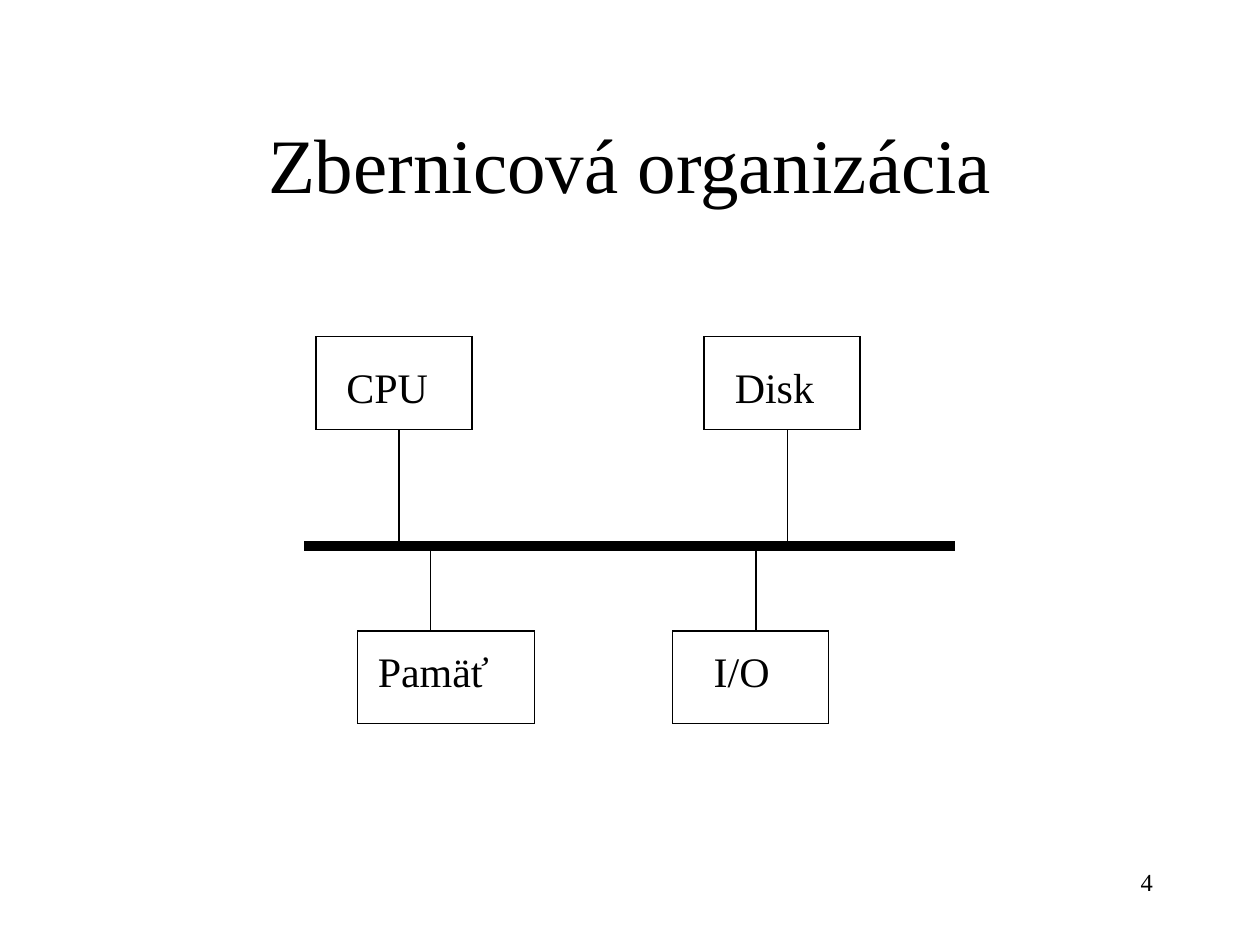
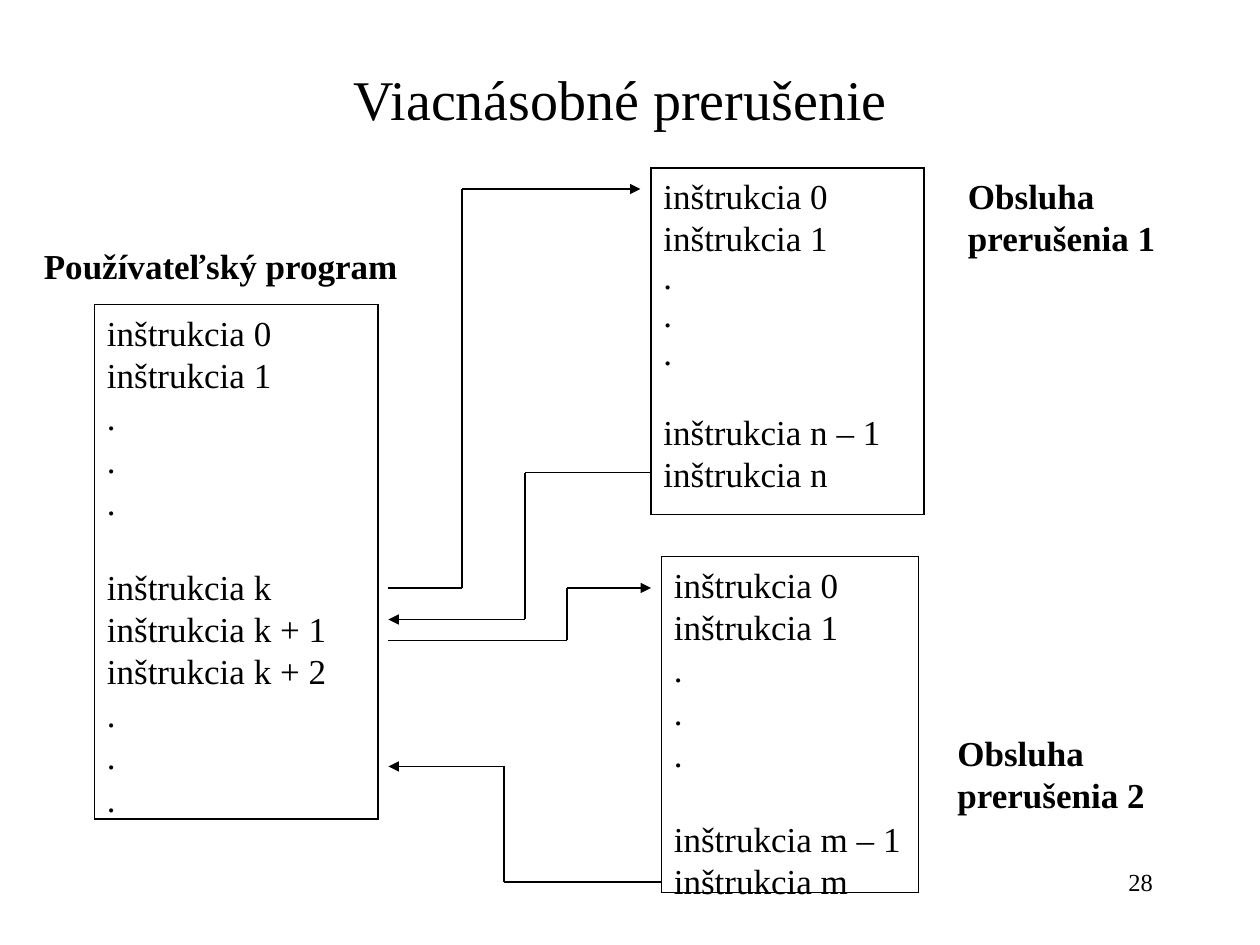
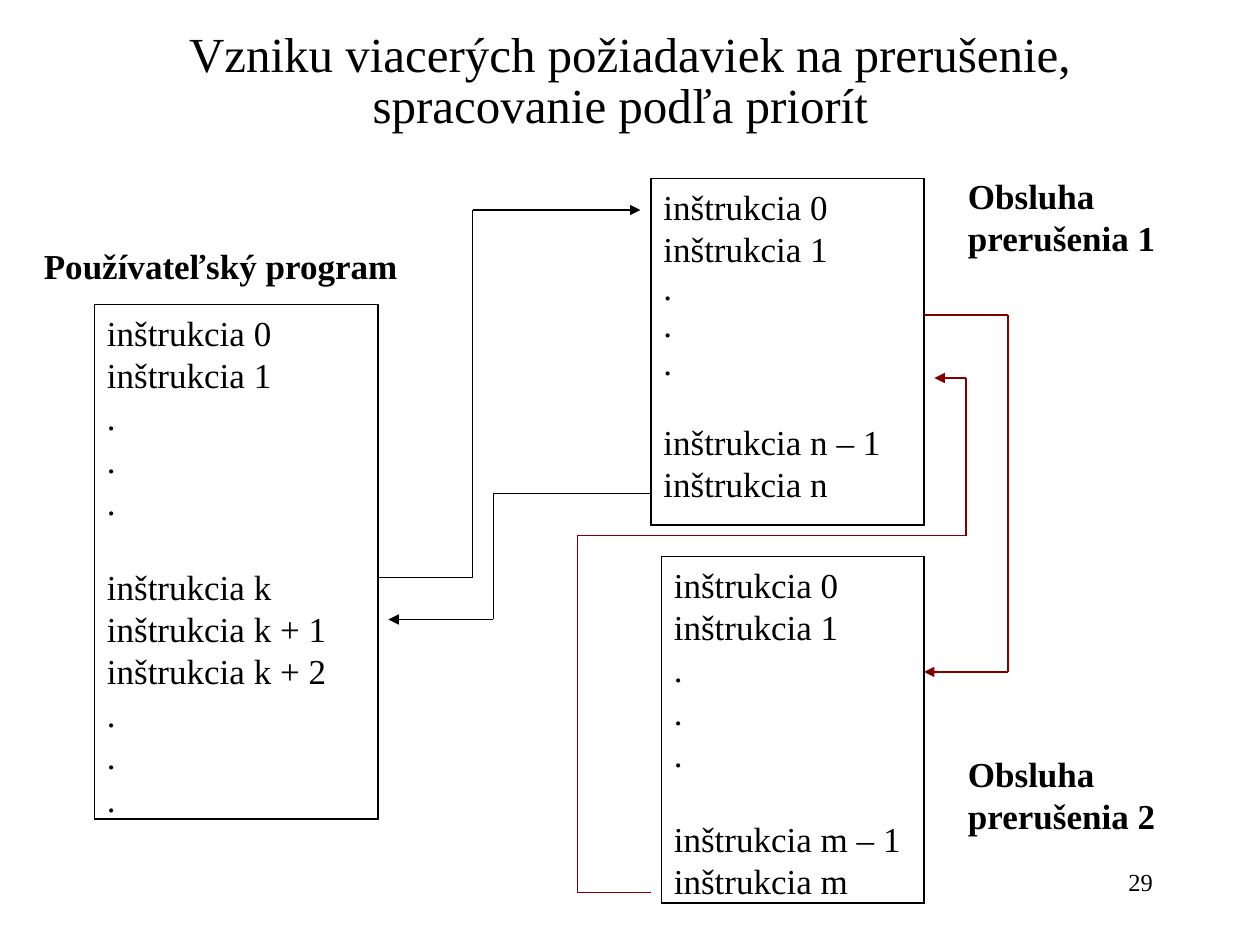
from dataclasses import dataclass
from itertools import pairwise

import pptx
import pptx.dml.color
import pptx.enum.shapes
import pptx.enum.text
import pptx.oxml
import pptx.util
from lxml import etree

Align = pptx.enum.text.PP_ALIGN
Fit = pptx.enum.text.MSO_AUTO_SIZE
Point = tuple[float, float]


@dataclass(frozen=True)
class Theme:
    font: str = "Times New Roman"
    ink: str = "000000"
    paper: str = "FFFFFF"
    priority: str = "800000"
    title: float = 44
    device: float = 24
    body: float = 20
    number: float = 14
    leading: float = 1.21
    tight: float = 0.89
    thin: float = 0.75
    medium: float = 1
    bus: float = 6


THEME = Theme()
WIDTH, HEIGHT = pptx.util.Inches(10), pptx.util.Inches(7.5)
COLUMNS, ROWS = 120, 90


@dataclass(frozen=True)
class Area:
    column: float
    row: float
    columns: float
    rows: float

    def lengths(self) -> tuple[int, int, int, int]:
        return (across(self.column), down(self.row), across(self.columns), down(self.rows))


@dataclass(frozen=True)
class Span:
    text: str
    size: float
    bold: bool = False


@dataclass(frozen=True)
class Heading:
    area: Area
    spans: tuple[Span, ...]
    spacing: float = 1


@dataclass(frozen=True)
class Device:
    name: str
    frame: Area
    label: Area
    stem: tuple[Point, Point]


@dataclass(frozen=True)
class Listing:
    area: Area
    blocks: tuple[tuple[str, ...], ...]
    dot_spacing: float = 1


@dataclass(frozen=True)
class Route:
    points: tuple[Point, ...]
    color: str = THEME.ink


@dataclass(frozen=True)
class Label:
    area: Area
    spans: tuple[Span, ...]


@dataclass(frozen=True)
class InterruptPage:
    number: str
    heading: Heading
    listings: tuple[Listing, ...]
    routes: tuple[Route, ...]
    labels: tuple[Label, ...]


def across(columns: float) -> int:
    return round(WIDTH * columns / COLUMNS)


def down(rows: float) -> int:
    return round(HEIGHT * rows / ROWS)


def rgb(color: str) -> pptx.dml.color.RGBColor:
    return pptx.dml.color.RGBColor.from_string(color)


def write(para, spans: tuple[Span, ...], align=Align.LEFT, spacing: float = 1) -> None:
    para.alignment = align
    para.line_spacing = pptx.util.Pt(max(span.size for span in spans) * THEME.leading * spacing)
    for span in spans:
        run = para.add_run()
        run.text = span.text
        run.font.name = THEME.font
        run.font.size = pptx.util.Pt(span.size)
        run.font.bold = span.bold
        run.font.color.rgb = rgb(THEME.ink)


def add_text(page, area: Area, spans: tuple[Span, ...], align=Align.LEFT,
             wrap: bool = True, fit=Fit.NONE) -> None:
    frame = page.shapes.add_textbox(*area.lengths()).text_frame
    frame.word_wrap = wrap
    frame.auto_size = fit
    write(frame.paragraphs[0], spans, align)


def draw_outline(shape, weight: float, color: str = THEME.ink, arrow: bool = False) -> None:
    shape.line.color.rgb = rgb(color)
    shape.line.width = pptx.util.Pt(weight)
    outline = shape.line._get_or_add_ln()
    etree.SubElement(outline, pptx.oxml.ns.qn("a:miter"), lim="800000")
    if arrow:
        etree.SubElement(outline, pptx.oxml.ns.qn("a:tailEnd"), type="triangle")


def add_box(page, area: Area, weight: float, fill: str | None = None):
    box = page.shapes.add_shape(pptx.enum.shapes.MSO_SHAPE.RECTANGLE, *area.lengths())
    box.shadow.inherit = False
    if fill:
        box.fill.solid()
        box.fill.fore_color.rgb = rgb(fill)
    else:
        box.fill.background()
    draw_outline(box, weight)
    return box


def add_line(page, start: Point, end: Point, weight: float,
             color: str = THEME.ink, arrow: bool = False) -> None:
    line = page.shapes.add_connector(
        pptx.enum.shapes.MSO_CONNECTOR.STRAIGHT,
        across(start[0]), down(start[1]), across(end[0]), down(end[1]))
    draw_outline(line, weight, color, arrow)
    etree.SubElement(line._element.spPr, pptx.oxml.ns.qn("a:effectLst"))


def add_route(page, route: Route) -> None:
    legs = list(pairwise(route.points))
    for index, (start, end) in enumerate(legs, 1):
        add_line(page, start, end, THEME.thin, route.color, arrow=index == len(legs))


def add_listing(page, listing: Listing) -> None:
    frame = add_box(page, listing.area, THEME.thin, THEME.paper).text_frame
    frame.word_wrap = True
    frame.vertical_anchor = pptx.enum.text.MSO_ANCHOR.TOP
    para = frame.paragraphs[0]
    for block_index, block in enumerate(listing.blocks):
        for line_index, text in enumerate(block):
            if block_index or line_index:
                para = frame.add_paragraph()
            if block_index and not line_index:
                para.space_before = pptx.util.Pt(THEME.body * THEME.leading * listing.dot_spacing)
            spacing = listing.dot_spacing if text == "." else 1
            write(para, (Span(text, THEME.body),), spacing=spacing)


def add_device(page, device: Device) -> None:
    add_box(page, device.frame, THEME.medium)
    add_line(page, *device.stem, THEME.medium)
    add_text(page, device.label, (Span(device.name, THEME.device),),
             wrap=False, fit=Fit.SHAPE_TO_FIT_TEXT)


def add_page(deck, heading: Heading, number: str):
    page = deck.slides.add_slide(deck.slide_layouts.get_by_name("Title Only"))
    title = page.shapes.title
    title.left, title.top, title.width, title.height = heading.area.lengths()
    frame = title.text_frame
    frame.word_wrap = True
    frame.auto_size = Fit.NONE
    frame.vertical_anchor = pptx.enum.text.MSO_ANCHOR.MIDDLE
    para = frame.paragraphs[0]
    write(para, heading.spans, Align.CENTER)
    para.line_spacing = heading.spacing
    add_text(page, Area(86, 82, 25, 6), (Span(number, THEME.number),), Align.RIGHT)
    return page


START = ("inštrukcia 0", "inštrukcia 1", ".", ".", ".")
PROGRAM = Listing(
    Area(9, 29, 27, 49),
    (START, ("inštrukcia k", "inštrukcia k + 1", "inštrukcia k + 2", ".", ".", ".")))
TITLE_TAIL = Span(" ", THEME.title)
PROGRAM_LABEL = Label(
    Area(3, 22, 37, 6),
    (Span("Používateľský program", THEME.body, True),))


def first_handler(row: float) -> Listing:
    return Listing(Area(62, row, 26, 33),
                   (START, ("inštrukcia n – 1", "inštrukcia n")), THEME.tight)


def second_handler(columns: float, rows: float) -> Listing:
    return Listing(Area(63, 53, columns, rows), (START, ("inštrukcia m – 1", "inštrukcia m")))


def handler_label(number: int, column: float, row: float) -> Label:
    return Label(Area(column, row, 27, 9.25),
                 (Span(f"Obsluha prerušenia {number}", THEME.body, True),))


BUS_HEADING = Heading(Area(9, 8, 102, 15), (Span("Zbernicová organizácia", THEME.title),))
BUS_ROW = 52
DEVICES = (
    Device("CPU", Area(30.1, 32.06, 14.85, 8.85), Area(31.8, 33.84, 10.2, 6),
           ((38, 41), (38, BUS_ROW))),
    Device("Disk", Area(67.06, 32.06, 14.85, 8.85), Area(68.8, 33.84, 9.96, 6),
           ((75, 41), (75, BUS_ROW))),
    Device("Pamäť", Area(34.06, 60.06, 16.85, 8.85), Area(34.8, 60.84, 12.96, 6),
           ((41, BUS_ROW), (41, 60))),
    Device("I/O", Area(64.06, 60.06, 14.85, 8.85), Area(66.8, 60.84, 7.9, 6),
           ((72, BUS_ROW), (72, 60))),
)

INTERRUPT_PAGES = (
    InterruptPage(
        "28",
        Heading(Area(9, 4, 102, 9), (Span("Viacnásobné prerušenie", 32), TITLE_TAIL)),
        (PROGRAM, first_handler(16), second_handler(24.5, 32)),
        (
            Route(((37, 56), (44, 56), (44, 18), (61, 18))),
            Route(((62, 45), (50, 45), (50, 59), (37, 59))),
            Route(((37, 61), (54, 61), (54, 56), (62, 56))),
            Route(((63, 84), (48, 84), (48, 73), (37, 73))),
        ),
        (PROGRAM_LABEL, handler_label(1, 91, 16), handler_label(2, 90, 69)),
    ),
    InterruptPage(
        "29",
        Heading(
            Area(9, 2, 102, 13),
            (Span("Vzniku viacerých požiadaviek na prerušenie, spracovanie podľa priorít", 28),
             TITLE_TAIL),
            0.6),
        (PROGRAM, first_handler(17), second_handler(25, 33)),
        (
            Route(((36, 55), (45, 55), (45, 20), (61, 20))),
            Route(((62, 47), (47, 47), (47, 59), (37, 59))),
            Route(((88, 30), (96, 30), (96, 64), (88, 64)), THEME.priority),
            Route(((62, 85), (55, 85), (55, 51), (92, 51), (92, 36), (89, 36)), THEME.priority),
        ),
        (PROGRAM_LABEL, handler_label(1, 91, 16), handler_label(2, 91, 71)),
    ),
)
PROGRAM_TAIL = Span(" ", THEME.device)


def build_bus_page(deck) -> None:
    page = add_page(deck, BUS_HEADING, "4")
    add_line(page, (29, BUS_ROW), (91, BUS_ROW), THEME.bus)
    for device in DEVICES:
        add_device(page, device)


def build_interrupt_page(deck, content: InterruptPage) -> None:
    page = add_page(deck, content.heading, content.number)
    for listing in content.listings:
        add_listing(page, listing)
    for route in content.routes:
        add_route(page, route)
    for label in content.labels:
        spans = label.spans + ((PROGRAM_TAIL,) if label is PROGRAM_LABEL else ())
        add_text(page, label.area, spans, fit=Fit.SHAPE_TO_FIT_TEXT)


def main() -> None:
    deck = pptx.Presentation()
    deck.slide_width, deck.slide_height = WIDTH, HEIGHT
    build_bus_page(deck)
    for content in INTERRUPT_PAGES:
        build_interrupt_page(deck, content)
    deck.save("out.pptx")


if __name__ == "__main__":
    main()
